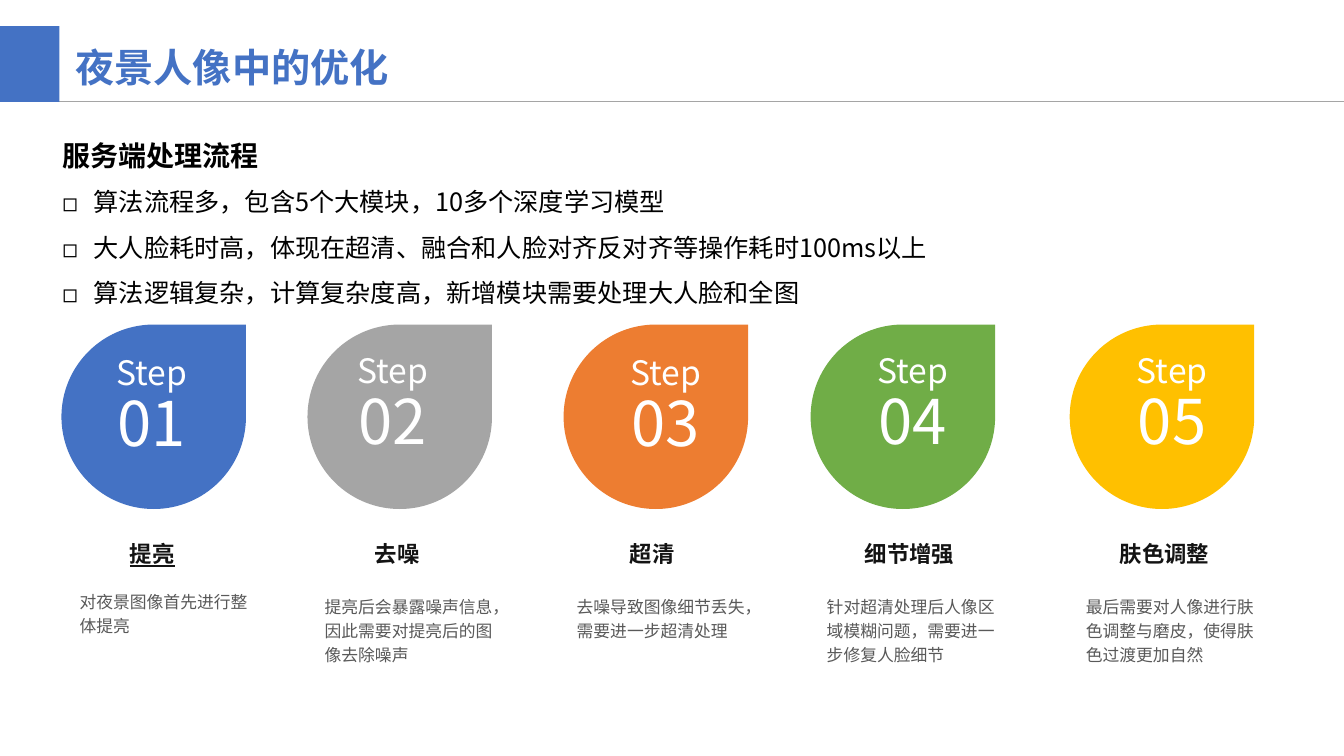
from lxml.etree import SubElement
from pptx import Presentation
from pptx.dml.color import RGBColor
from pptx.enum.shapes import MSO_CONNECTOR, MSO_SHAPE
from pptx.enum.text import MSO_ANCHOR, PP_ALIGN
from pptx.oxml.ns import qn
from pptx.util import Inches, Pt

COLORS = {
    "blue": "4472C4", "gray": "A5A5A5", "orange": "ED7D31",
    "green": "70AD47", "yellow": "FFC000", "black": "000000",
    "heading": "131313", "detail": "595959", "white": "FFFFFF",
}
FONT = "Noto Sans CJK SC"


class SlideBuilder:
    def __init__(self, slide):
        self.slide = slide

    def color(self, name):
        return RGBColor.from_string(COLORS[name])

    def shape(self, kind, left, top, width, height, fill):
        shape = self.slide.shapes.add_shape(
            kind, Inches(left), Inches(top), Inches(width), Inches(height))
        shape.shadow.inherit = False
        shape.fill.solid()
        shape.fill.fore_color.rgb = self.color(fill)
        shape.line.fill.background()

    def line(self, left, top, right, bottom, color, width):
        connector = self.slide.shapes.add_connector(
            MSO_CONNECTOR.STRAIGHT, Inches(left), Inches(top), Inches(right), Inches(bottom))
        connector.line.color.rgb = self.color(color)
        connector.line.width = Pt(width)
        SubElement(connector._element.spPr, qn("a:effectLst"))

    def text_box(self, left, top, width, height, margins=(0.1, 0.05), anchor=MSO_ANCHOR.TOP):
        box = self.slide.shapes.add_textbox(
            Inches(left), Inches(top), Inches(width), Inches(height))
        frame = box.text_frame
        frame.word_wrap = True
        frame.vertical_anchor = anchor
        frame.margin_left = frame.margin_right = Inches(margins[0])
        frame.margin_top = frame.margin_bottom = Inches(margins[1])
        return frame

    def paragraph(self, frame, text, size, color, bold=False, underline=False,
                  align=PP_ALIGN.LEFT, spacing=1.0, bullet=None, font=FONT):
        first = frame.paragraphs[0]
        paragraph = frame.add_paragraph() if first.runs else first
        paragraph.add_run().text = text
        paragraph.alignment = align
        paragraph.line_spacing = spacing
        if bullet:
            properties = paragraph._p.get_or_add_pPr()
            properties.set("marL", str(Inches(0.31)))
            properties.set("indent", str(-Inches(0.31)))
            SubElement(properties, qn("a:buFont"), typeface=FONT)
            SubElement(properties, qn("a:buChar"), char=bullet)
        paragraph.font.size = Pt(size)
        paragraph.font.bold = bold
        paragraph.font.underline = underline
        paragraph.font.color.rgb = self.color(color)
        paragraph.font.name = font
        defaults = paragraph._p.pPr.find(qn("a:defRPr"))
        SubElement(defaults, qn("a:ea"), typeface=FONT)


def add_header(builder):
    builder.line(0, 1.01, 13.33, 1.01, "gray", 0.5)
    builder.shape(MSO_SHAPE.RECTANGLE, 0, 0.26, 0.59, 0.75, "blue")
    title = builder.text_box(0.65, 0.38, 5.22, 0.57, anchor=MSO_ANCHOR.MIDDLE)
    builder.paragraph(title, "夜景人像中的优化", 28, "blue", bold=True, font="Arial")


def add_summary(builder):
    summary = builder.text_box(0.52, 1.32, 9.19, 1.8)
    builder.paragraph(summary, "服务端处理流程", 20, "black", bold=True)
    for point in (
        "算法流程多，包含5个大模块，10多个深度学习模型",
        "大人脸耗时高，体现在超清、融合和人脸对齐反对齐等操作耗时100ms以上",
        "算法逻辑复杂，计算复杂度高，新增模块需要处理大人脸和全图",
    ):
        builder.paragraph(summary, point, 18, "black", spacing=1.5, bullet="◻")


def add_step(builder, number, color, drop_left, label_at, name_left, detail_at, name, detail):
    builder.shape(MSO_SHAPE.TEAR, drop_left, 3.22, 1.83, 1.83, color)
    label = builder.text_box(*label_at, 1.07, 1.13)
    for text, size in (("Step", 24), (f"{number:02d}", 44)):
        builder.paragraph(label, text, size, "white", align=PP_ALIGN.CENTER, spacing=0.9)
    margins = (0.13, 0.07)
    heading = builder.text_box(name_left, 5.29, 1.76, 0.4, margins)
    builder.paragraph(heading, name, 16, "heading", bold=True,
                      underline=number == 1, align=PP_ALIGN.CENTER)
    description = builder.text_box(*detail_at, 1.94, 0.86, margins)
    builder.paragraph(description, detail, 12, "detail", spacing=1.2)


STEPS = (
    ("blue", 0.61, (0.97, 3.49), 0.63, (0.66, 5.76), "提亮",
     "对夜景图像首先进行整体提亮"),
    ("gray", 3.05, (3.36, 3.47), 3.06, (3.09, 5.81), "去噪",
     "提亮后会暴露噪声信息，因此需要对提亮后的图像去除噪声"),
    ("orange", 5.59, (6.07, 3.49), 5.59, (5.59, 5.81), "超清",
     "去噪导致图像细节丢失，需要进一步超清处理"),
    ("green", 8.04, (8.52, 3.47), 8.14, (8.07, 5.81), "细节增强",
     "针对超清处理后人像区域模糊问题，需要进一步修复人脸细节"),
    ("yellow", 10.61, (11.09, 3.47), 10.67, (10.64, 5.81), "肤色调整",
     "最后需要对人像进行肤色调整与磨皮，使得肤色过渡更加自然"),
)


def main():
    presentation = Presentation()
    presentation.slide_width = Inches(13.33)
    presentation.slide_height = Inches(7.5)
    builder = SlideBuilder(presentation.slides.add_slide(presentation.slide_layouts[6]))
    add_header(builder)
    add_summary(builder)
    for number, step in enumerate(STEPS, 1):
        add_step(builder, number, *step)
    presentation.save("out.pptx")


if __name__ == "__main__":
    main()
